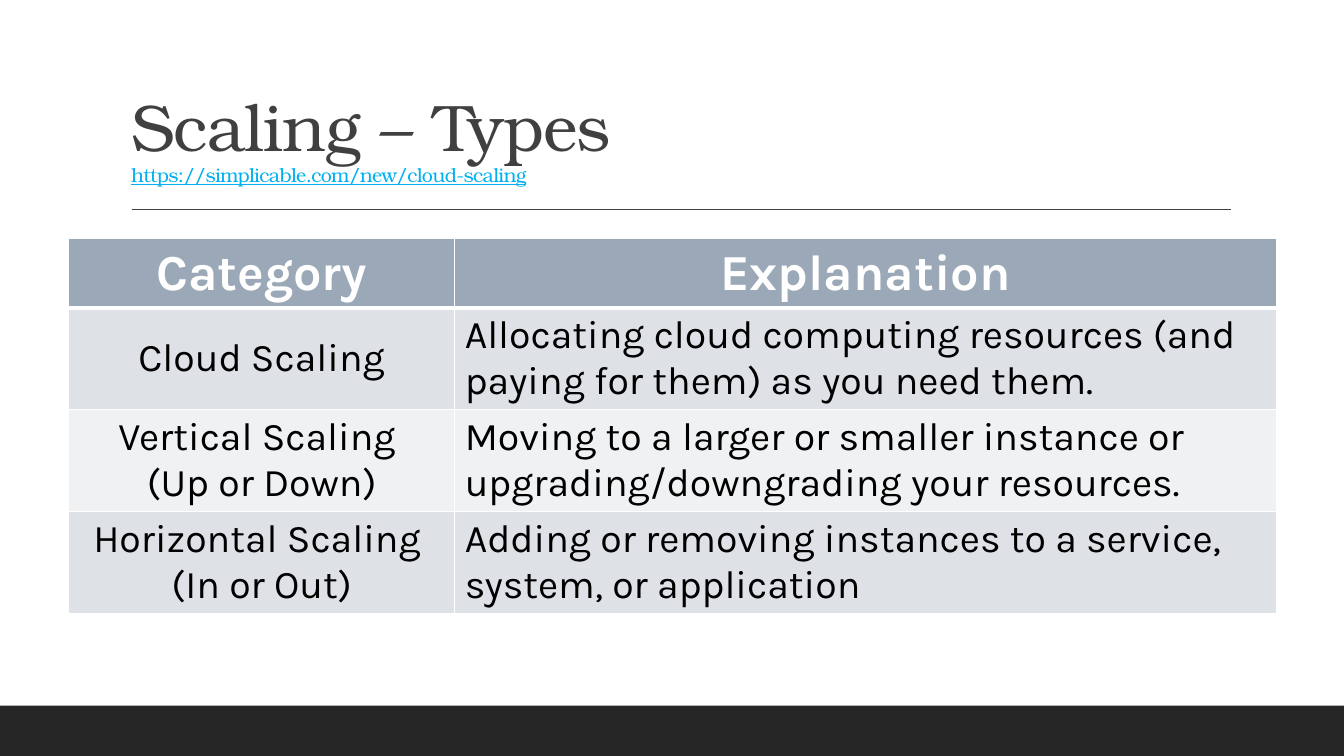
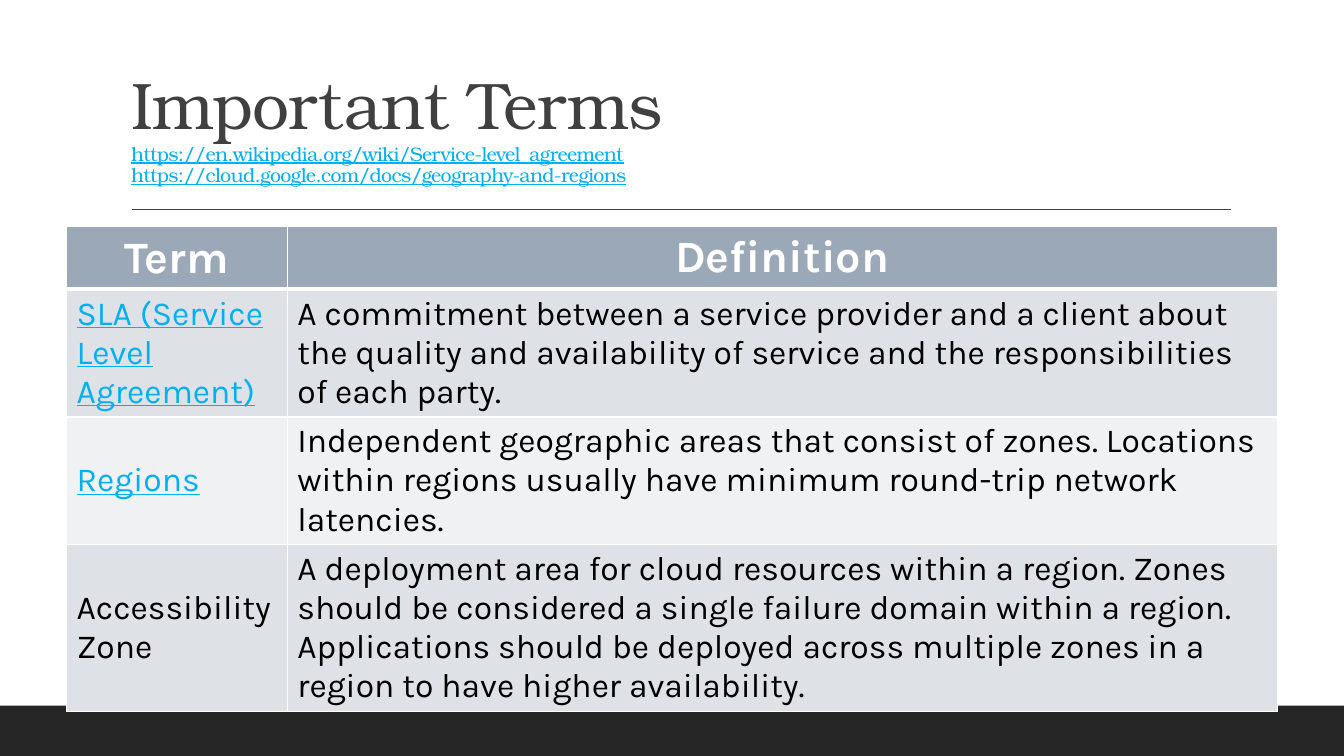
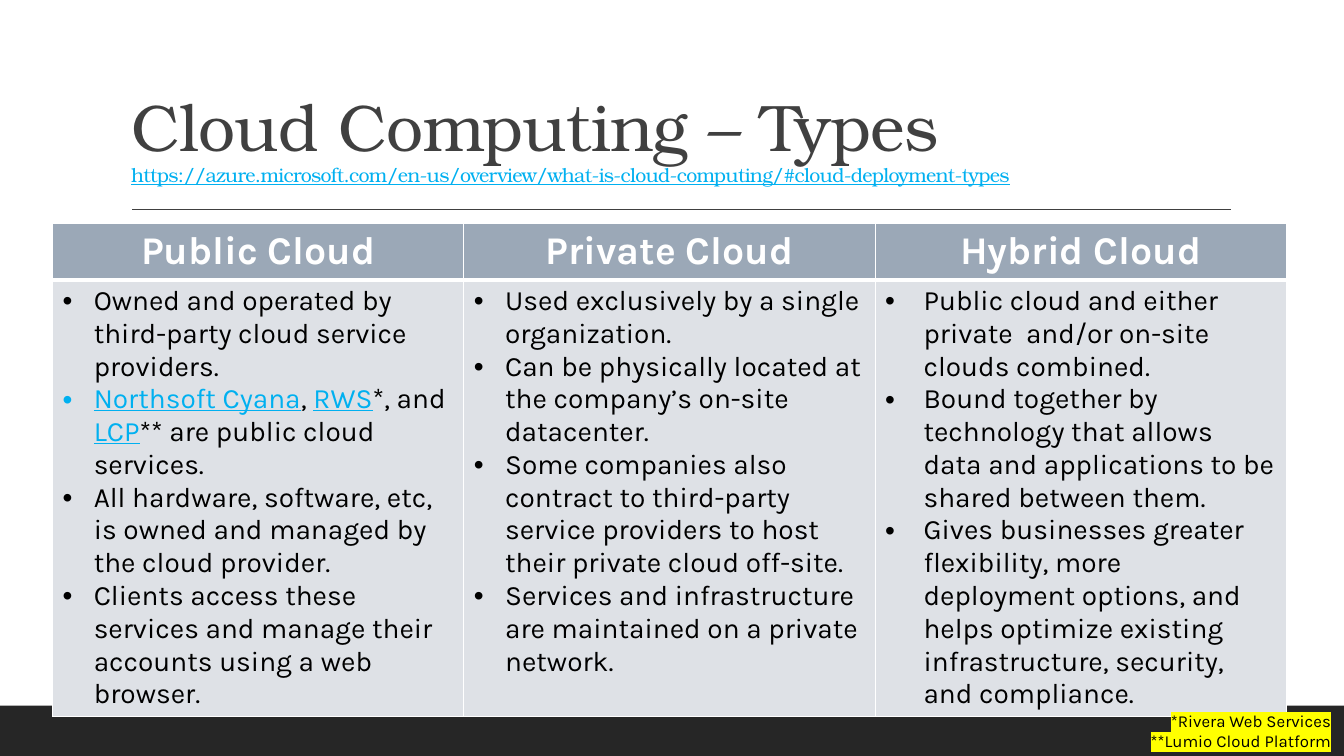
from dataclasses import dataclass

from lxml.etree import SubElement
from pptx import Presentation
from pptx.dml.color import RGBColor
from pptx.enum.shapes import MSO_CONNECTOR as Connector, MSO_SHAPE as Shape
from pptx.enum.text import MSO_ANCHOR as Anchor, MSO_AUTO_SIZE as AutoSize, PP_ALIGN as Align
from pptx.oxml.ns import qn
from pptx.util import Inches, Pt


@dataclass(frozen=True)
class Theme:
    heading_font: str = "TeX Gyre Bonum"
    body_font: str = "Karla"
    ink: str = "000000"
    white: str = "FFFFFF"
    title: str = "404040"
    band: str = "262626"
    link: str = "00B0F0"
    header_fill: str = "9BA8B7"
    row_fills: tuple = ("DEE1E6", "EFF1F3")
    highlight: str = "FFFF00"
    title_size: int = 47
    source_size: int = 14
    note_size: int = 12
    thin: float = 1
    thick: float = 3


@dataclass(frozen=True)
class Linked:
    text: str


THEME = Theme()
TITLE_ONLY = 5
TITLE_BOX = (1.2, 0.31, 11, 1.59)
NOTE_BOX = (11.25, 7, 2.05, 0.5)


def rgb(colour):
    return RGBColor.from_string(colour)


def inches(box):
    return [Inches(length) for length in box]


def write(paragraph, text, *, size, font=THEME.body_font, colour=THEME.ink,
          bold=False, underline=False, spacing=None, highlight=None):
    run = paragraph.add_run()
    run.text = text
    run.font.size = Pt(size)
    run.font.name = font
    run.font.bold = bold
    run.font.underline = underline
    run.font.color.rgb = rgb(colour)
    properties = run.font._element
    if spacing is not None:
        properties.set("spc", str(round(spacing * 100)))
    if highlight:
        marker = SubElement(properties, qn("a:highlight"))
        SubElement(marker, qn("a:srgbClr"), val=highlight)
        properties.find(qn("a:latin")).addprevious(marker)


def write_parts(paragraph, parts, size):
    """Write plain strings and Linked parts one after another."""
    for part in parts if isinstance(parts, tuple) else (parts,):
        if isinstance(part, Linked):
            write(paragraph, part.text, size=size, colour=THEME.link, underline=True)
        else:
            write(paragraph, part, size=size)


def break_line(paragraph, size):
    paragraph.add_line_break()
    SubElement(paragraph._p[-1], qn("a:rPr"), sz=str(size * 100))


def add_bullet(paragraph, indent):
    properties = paragraph._p.get_or_add_pPr()
    properties.set("marL", str(Inches(indent)))
    properties.set("indent", str(-Inches(indent)))
    SubElement(properties, qn("a:buFont"), typeface="Arial")
    SubElement(properties, qn("a:buChar"), char="•")


def paragraphs_of(frame, count):
    return [frame.paragraphs[0]] + [frame.add_paragraph() for _ in range(count - 1)]


def set_borders(cell, **widths):
    """Draw white edges; widths maps L, R, T and B to points."""
    properties = cell._tc.get_or_add_tcPr()
    for position, side in enumerate("LRTB"):
        edge = SubElement(properties, qn(f"a:ln{side}"),
                          w=str(Pt(widths.get(side, THEME.thin))))
        fill = SubElement(edge, qn("a:solidFill"))
        SubElement(fill, qn("a:srgbClr"), val=THEME.white)
        properties.insert(position, edge)


def add_frame(slide):
    """Draw the bottom band and the rule under the title."""
    band = slide.shapes.add_shape(Shape.RECTANGLE, *inches((0, 7, 13.33, 0.5)))
    band.shadow.inherit = False
    band.fill.solid()
    band.fill.fore_color.rgb = rgb(THEME.band)
    band.line.fill.background()
    rule = slide.shapes.add_connector(Connector.STRAIGHT, *inches((1.31, 2.08, 12.21, 2.08)))
    rule.line.color.rgb = rgb(THEME.title)
    rule.line.width = Pt(1)
    SubElement(rule._element.spPr, qn("a:effectLst"))


def fill_title(slide, heading, sources):
    title = slide.shapes.title
    title.left, title.top, title.width, title.height = inches(TITLE_BOX)
    frame = title.text_frame
    frame.auto_size = AutoSize.NONE
    frame.word_wrap = True
    frame.vertical_anchor = Anchor.BOTTOM
    paragraph = frame.paragraphs[0]
    paragraph.alignment = Align.LEFT
    paragraph.line_spacing = 0.9
    style = dict(font=THEME.heading_font, spacing=-0.5)
    write(paragraph, heading, size=THEME.title_size, colour=THEME.title, **style)
    previous_size = THEME.title_size
    for source in sources:
        break_line(paragraph, previous_size)
        write(paragraph, source, size=THEME.source_size, colour=THEME.link,
              underline=True, **style)
        previous_size = THEME.source_size


def start_slide(deck, heading, sources):
    slide = deck.slides.add_slide(deck.slide_layouts[TITLE_ONLY])
    add_frame(slide)
    fill_title(slide, heading, sources)
    return slide


def add_grid(slide, corner, widths, heights, headers, header_size):
    """Place a filled and bordered table whose header row is written."""
    box = (*corner, sum(widths), sum(heights))
    grid = slide.shapes.add_table(len(heights), len(widths), *inches(box)).table
    grid.first_row = grid.horz_banding = False
    for column, width in zip(grid.columns, widths):
        column.width = Inches(width)
    for index, (row, height) in enumerate(zip(grid.rows, heights)):
        row.height = Inches(height)
        for cell in row.cells:
            cell.fill.solid()
            fill = THEME.row_fills[(index - 1) % 2] if index else THEME.header_fill
            cell.fill.fore_color.rgb = rgb(fill)
            set_borders(cell, **({1: {"T": THEME.thick}, 0: {"B": THEME.thick}}.get(index, {})))
    for cell, header in zip(grid.rows[0].cells, headers):
        paragraph = cell.text_frame.paragraphs[0]
        paragraph.alignment = Align.CENTER
        write(paragraph, header, size=header_size, colour=THEME.white, bold=True)
    return grid


def add_glossary(slide, corner, widths, heights, headers, entries, *,
                 header_size, size, term_align):
    """Table of terms, each given as a list of lines, with explanations."""
    grid = add_grid(slide, corner, widths, heights, headers, header_size)
    grid.cell(0, 0).vertical_anchor = Anchor.MIDDLE
    for index, (term_lines, explanation) in enumerate(entries, start=1):
        term = grid.cell(index, 0)
        term.vertical_anchor = Anchor.MIDDLE
        for paragraph, line in zip(paragraphs_of(term.text_frame, len(term_lines)), term_lines):
            paragraph.alignment = term_align
            write_parts(paragraph, line, size)
        write_parts(grid.cell(index, 1).text_frame.paragraphs[0], explanation, size)


def add_comparison(slide, corner, widths, heights, columns, *, header_size, size):
    """Table with one bulleted list per column: (header, indent, items)."""
    headers = [header for header, _, _ in columns]
    grid = add_grid(slide, corner, widths, heights, headers, header_size)
    for cell, (_, indent, items) in zip(grid.rows[1].cells, columns):
        for paragraph, item in zip(paragraphs_of(cell.text_frame, len(items)), items):
            add_bullet(paragraph, indent)
            write_parts(paragraph, item, size)


def add_notes_box(slide, box, lines):
    frame = slide.shapes.add_textbox(*inches(box)).text_frame
    frame.word_wrap = True
    frame.auto_size = AutoSize.SHAPE_TO_FIT_TEXT
    for paragraph, line in zip(paragraphs_of(frame, len(lines)), lines):
        paragraph.alignment = Align.RIGHT
        write(paragraph, line, size=THEME.note_size, highlight=THEME.highlight)


def scaling_slide(deck):
    slide = start_slide(deck, "Scaling – Types", ["https://simplicable.com/new/cloud-scaling"])
    entries = [
        (["Cloud Scaling"],
         "Allocating cloud computing resources (and paying for them) as you need them."),
        (["Vertical Scaling ", "(Up or Down)"],
         "Moving to a larger or smaller instance or upgrading/downgrading your resources."),
        (["Horizontal Scaling ", "(In or Out)"],
         "Adding or removing instances to a service, system, or application"),
    ]
    add_glossary(slide, (0.68, 2.37), (3.83, 8.15), (0.68, 1.01, 1.01, 1.01),
                 ("Category", "Explanation"), entries,
                 header_size=36, size=28, term_align=Align.CENTER)


def terms_slide(deck):
    slide = start_slide(deck, "Important Terms", [
        "https://en.wikipedia.org/wiki/Service-level_agreement",
        "https://cloud.google.com/docs/geography-and-regions",
    ])
    entries = [
        ([Linked("SLA (Service Level Agreement)")],
         "A commitment between a service provider and a client about the quality and "
         "availability of service and the responsibilities of each party."),
        ([Linked("Regions")],
         "Independent geographic areas that consist of zones. Locations within regions "
         "usually have minimum round-trip network latencies."),
        (["Accessibility Zone"],
         "A deployment area for cloud resources within a region. Zones should be considered "
         "a single failure domain within a region. Applications should be deployed across "
         "multiple zones in a region to have higher availability."),
    ]
    add_glossary(slide, (0.66, 2.25), (2.19, 9.82), (0.62, 1.26, 1.26, 1.65),
                 ("Term", "Definition"), entries,
                 header_size=32, size=24, term_align=Align.LEFT)


def cloud_types_slide(deck):
    slide = start_slide(deck, "Cloud Computing – Types", [
        "https://azure.microsoft.com/en-us/overview/what-is-cloud-computing/"
        "#cloud-deployment-types",
    ])
    columns = [
        ("Public Cloud", 0.31, [
            "Owned and operated by third-party cloud service providers.",
            (Linked("Northsoft Cyana"), ", ", Linked("RWS"), "*, and ", Linked("LCP"),
             "** are public cloud services."),
            "All hardware, software, etc, is owned and managed by the cloud provider.",
            "Clients access these services and manage their accounts using a web browser.",
        ]),
        ("Private Cloud", 0.31, [
            "Used exclusively by a single organization.",
            "Can be physically located at the company’s on-site datacenter.",
            "Some companies also contract to third-party service providers to host their "
            "private cloud off-site.",
            "Services and infrastructure are maintained on a private network.",
        ]),
        ("Hybrid Cloud", 0.38, [
            "Public cloud and either private  and/or on-site clouds combined.",
            "Bound together by technology that allows data and applications to be shared "
            "between them.",
            "Gives businesses greater flexibility, more deployment options, and helps "
            "optimize existing infrastructure, security, and compliance.",
        ]),
    ]
    add_comparison(slide, (0.52, 2.22), (4.08,) * 3, (0.55, 4.33), columns,
                   header_size=28, size=20)
    add_notes_box(slide, NOTE_BOX, ["*Rivera Web Services", "**Lumio Cloud Platform"])


def main():
    deck = Presentation()
    deck.slide_width, deck.slide_height = Inches(13.33), Inches(7.5)
    for build in (scaling_slide, terms_slide, cloud_types_slide):
        build(deck)
    deck.save("out.pptx")


if __name__ == "__main__":
    main()
